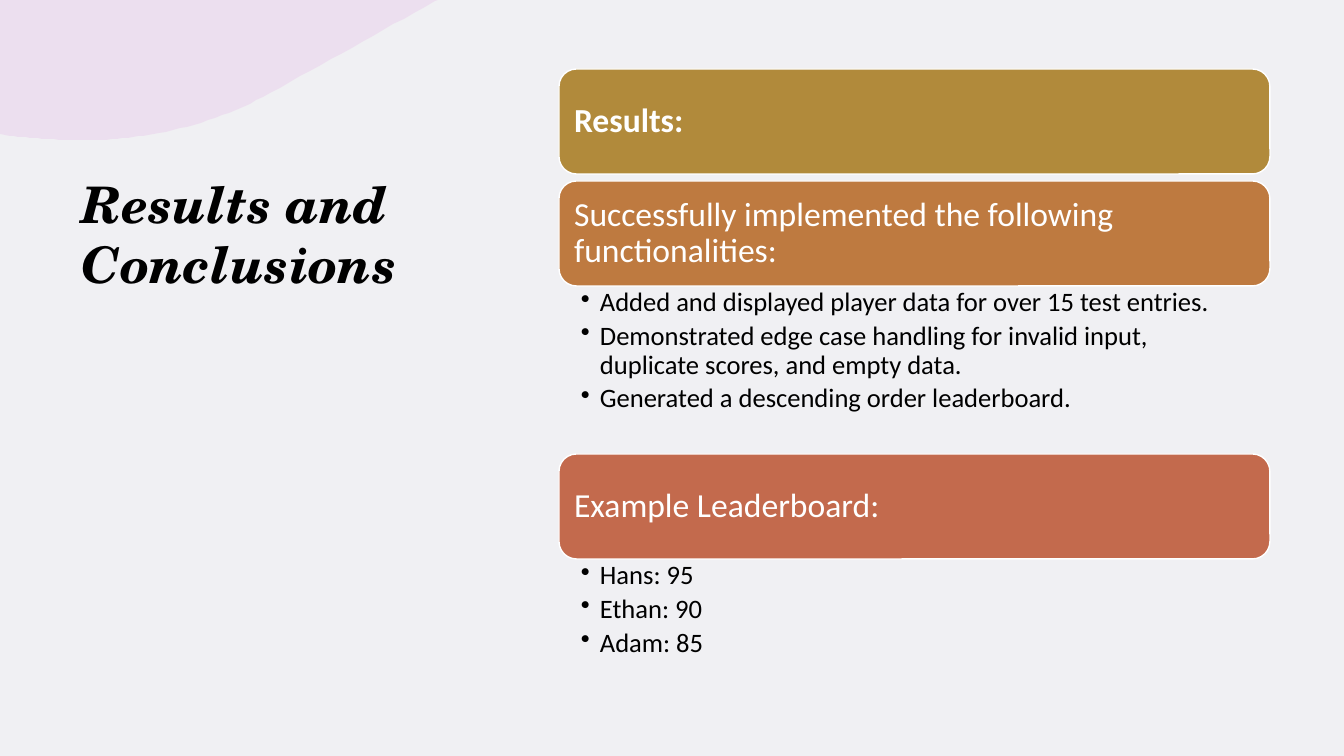
from dataclasses import dataclass
from typing import NamedTuple

from lxml.etree import SubElement
from pptx import Presentation
from pptx.dml.color import RGBColor
from pptx.enum.shapes import MSO_SHAPE as Shape
from pptx.enum.text import MSO_ANCHOR as Anchor, PP_ALIGN as Align
from pptx.oxml.ns import qn
from pptx.util import Pt

EMU_PER_PX = 9144000 / 1008


@dataclass(frozen=True)
class Theme:
    background: str = "F0F0F3"
    corner: str = "E4ADE4"
    corner_alpha: int = 25
    dark: str = "000000"
    light: str = "FFFFFF"
    title_font: str = "TeX Gyre Schola"
    body_font: str = "Calibri"
    title_size: int = 36
    heading_size: int = 24
    item_size: int = 19


class Section(NamedTuple):
    top: int
    heading: str
    color: str
    bold: bool = False
    items: tuple[str, ...] = ()
    list_height: int = 0


THEME = Theme()
LEFT, WIDTH, BOX_HEIGHT = 559, 711, 105
ITEM_INDENT = 19

SECTIONS = (
    Section(69, "Results:", "B18A3B", bold=True),
    Section(181, "Successfully implemented the following functionalities:", "BE7A40",
            items=("Added and displayed player data for over 15 test entries.",
                   "Demonstrated edge case handling for invalid input, "
                   "duplicate scores, and empty data.",
                   "Generated a descending order leaderboard."),
            list_height=167),
    Section(454, "Example Leaderboard:", "C36A4D",
            items=("Hans: 95", "Ethan: 90", "Adam: 85"), list_height=107),
)

# Corner outline: start point, then cubic curves (two controls and an end)
CORNER_START = (435, 1)
CORNER_CURVES = (
    ((380, 32), (323, 64), (270, 93)),
    ((234, 113), (197, 126), (159, 133)),
    ((131, 138), (103, 141), (75, 140)),
    ((53, 140), (31, 138), (10, 136)),
)
CORNER_EDGE = ((0, 134), (0, 0), (438, 0))


def px(n: float) -> int:
    return round(n * EMU_PER_PX)


def rgb(color: str) -> RGBColor:
    return RGBColor.from_string(color)


def curve_points(start, curves, steps: int = 16) -> list[tuple[float, float]]:
    points = []
    for c1, c2, end in curves:
        for i in range(1, steps + 1):
            t = i / steps
            u = 1 - t
            points.append(tuple(
                u**3 * a + 3 * u * u * t * b + 3 * u * t * t * c + t**3 * d
                for a, b, c, d in zip(start, c1, c2, end)))
        start = end
    return points


def write(sp, *lines: str, size: int, color: str, font: str = THEME.body_font,
          bold: bool = False, italic: bool = False, anchor=Anchor.TOP,
          insets: tuple[int, int, int, int] = (10, 5, 10, 5),
          spacing: float = 1.0, after: float = 0, bullet: bool = False) -> None:
    tf = sp.text_frame
    tf.word_wrap = True
    tf.vertical_anchor = anchor
    tf.margin_left, tf.margin_top, tf.margin_right, tf.margin_bottom = map(px, insets)
    for i, line in enumerate(lines):
        p = tf.add_paragraph() if i else tf.paragraphs[0]
        p.alignment = Align.LEFT
        p.line_spacing = spacing
        p.space_after = Pt(after)
        if bullet:
            p_pr = p._p.get_or_add_pPr()
            p_pr.set("marL", str(px(ITEM_INDENT)))
            p_pr.set("indent", str(-px(ITEM_INDENT)))
            SubElement(p_pr, qn("a:buChar")).set("char", "•")
        r = p.add_run()
        r.text = line
        r.font.name = font
        r.font.size = Pt(size)
        r.font.bold = bold
        r.font.italic = italic
        r.font.color.rgb = rgb(color)


def draw_corner(s) -> None:
    builder = s.shapes.build_freeform(*CORNER_START, scale=EMU_PER_PX)
    builder.add_line_segments(
        [*curve_points(CORNER_START, CORNER_CURVES), *CORNER_EDGE], close=True)
    sp = builder.convert_to_shape()
    sp.shadow.inherit = False
    sp.line.fill.background()
    sp.fill.solid()
    sp.fill.fore_color.rgb = rgb(THEME.corner)
    color = sp._element.spPr.find(qn("a:solidFill")).find(qn("a:srgbClr"))
    SubElement(color, qn("a:alpha")).set("val", str(THEME.corner_alpha * 1000))


def draw_section(s, section: Section) -> None:
    sp = s.shapes.add_shape(Shape.ROUNDED_RECTANGLE, px(LEFT), px(section.top),
                            px(WIDTH), px(BOX_HEIGHT))
    sp.shadow.inherit = False
    sp.fill.solid()
    sp.fill.fore_color.rgb = rgb(section.color)
    sp.line.color.rgb = rgb(THEME.light)
    sp.line.width = Pt(1)
    write(sp, section.heading, size=THEME.heading_size, color=THEME.light,
          bold=section.bold, anchor=Anchor.MIDDLE, insets=(10, 10, 10, 10), spacing=0.9)
    if section.items:
        box = s.shapes.add_textbox(px(LEFT), px(section.top + BOX_HEIGHT),
                                   px(WIDTH), px(section.list_height))
        write(box, *section.items, size=THEME.item_size, color=THEME.dark,
              insets=(22, 3, 19, 3), spacing=0.9, after=3.5, bullet=True)


def main() -> None:
    prs = Presentation()
    prs.slide_width, prs.slide_height = px(1344), px(756)
    s = prs.slides.add_slide(prs.slide_layouts[6])
    s.background.fill.solid()
    s.background.fill.fore_color.rgb = rgb(THEME.background)

    # Title and corner decoration
    title = s.shapes.add_textbox(px(72), px(168), px(488), px(488))
    write(title, "Results and Conclusions", size=THEME.title_size, color=THEME.dark,
          font=THEME.title_font, bold=True, italic=True)
    draw_corner(s)

    # Headings with their lists
    for section in SECTIONS:
        draw_section(s, section)

    prs.save("out.pptx")


if __name__ == "__main__":
    main()
